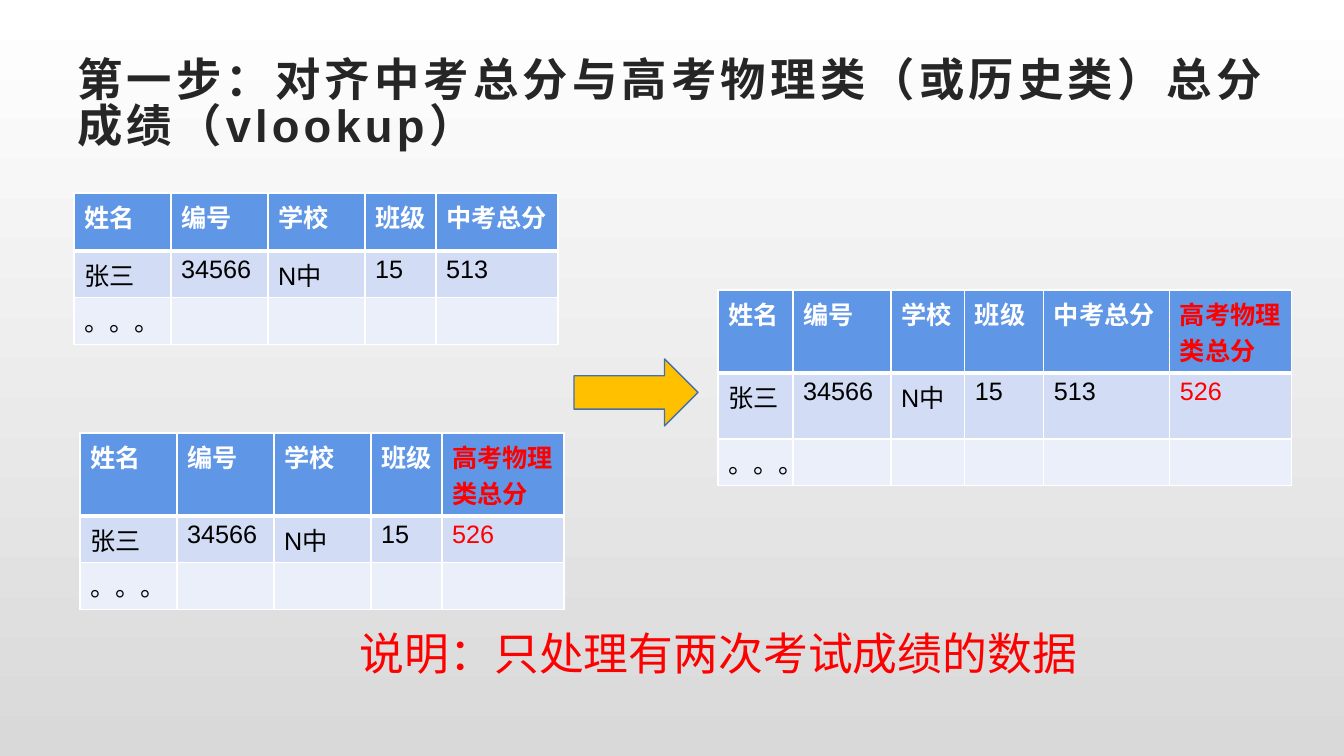
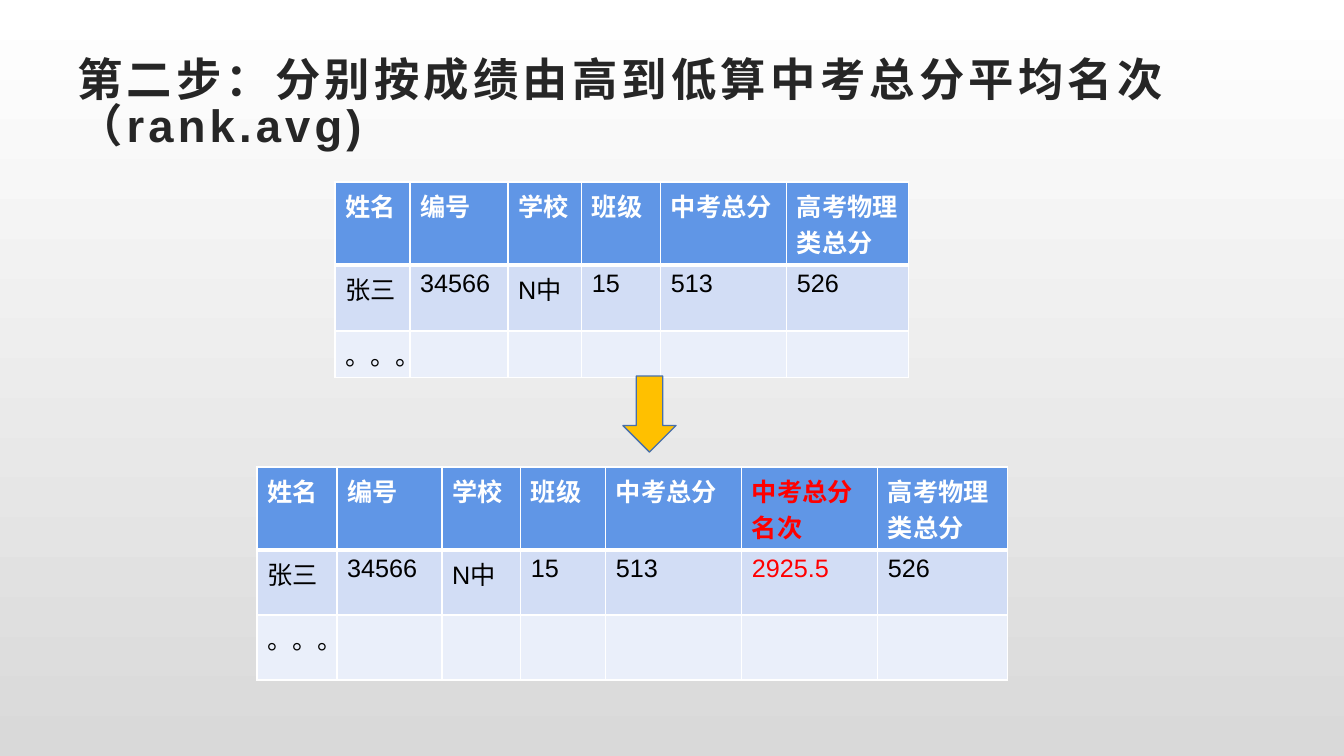
from lxml.etree import SubElement
from pptx import Presentation
from pptx.dml.color import RGBColor
from pptx.enum.shapes import MSO_SHAPE
from pptx.enum.text import MSO_ANCHOR, MSO_AUTO_SIZE, PP_ALIGN
from pptx.oxml.ns import qn
from pptx.util import Pt

# Page size and scale
PAGE_WIDTH, PAGE_HEIGHT = 1344, 756
EMU_WIDE = 12192000

# Shared style
FONT = "Arial"
WHITE = RGBColor(0xFF, 0xFF, 0xFF)
BLACK = RGBColor(0x00, 0x00, 0x00)
RED = RGBColor(0xFF, 0x00, 0x00)
TITLE_GREY = RGBColor(0x26, 0x26, 0x26)
PAGE_GREY = RGBColor(0xD9, 0xD9, 0xD9)
HEADER_BLUE = RGBColor(0x60, 0x96, 0xE6)
BAND_DARK = RGBColor(0xD2, 0xDD, 0xF5)
BAND_LIGHT = RGBColor(0xEA, 0xEF, 0xFA)
ARROW_GOLD = RGBColor(0xFF, 0xC0, 0x00)
ARROW_LINE = RGBColor(0x47, 0x6F, 0xAA)

# Sample student and table column widths
STUDENT = {"姓名": "张三", "编号": "34566", "学校": "N中", "班级": "15",
           "中考总分": "513", "中考总分名次": "2925.5", "高考物理类总分": "526"}
BASICS = ["姓名", "编号", "学校", "班级"]
ENTRANCE, RANK, FINAL = "中考总分", "中考总分名次", "高考物理类总分"
SOURCE_WIDTHS = [97, 97, 97, 71, 122]
MERGED_WIDTHS = [75, 98, 74, 79, 126, 122]
RANKED_WIDTHS = [80, 105, 79, 85, 136, 136, 130]
SOURCE_HEIGHTS = [58, 41, 41]
MERGED_HEIGHTS = [71, 66, 41]
RANKED_HEIGHTS = [71, 65, 65]


def px(length):
    return length * EMU_WIDE // PAGE_WIDTH


def write(frame, text, size=18, color=BLACK, bold=False, tracking=0, line_spacing=None):
    para = frame.paragraphs[0]
    para.alignment = PP_ALIGN.LEFT
    if line_spacing:
        para.line_spacing = line_spacing
    span = para.add_run()
    span.text = text
    span.font.name = FONT
    span.font.size = Pt(size)
    span.font.bold = bold
    span.font.color.rgb = color
    if tracking:
        span.font._element.set("spc", str(tracking * 100))


def set_borders(cell, bottom):
    properties = cell._tc.get_or_add_tcPr()
    for side, width in (("L", 1), ("R", 1), ("T", 1), ("B", bottom)):
        line = SubElement(properties, qn(f"a:ln{side}"), w=str(Pt(width)))
        fill = SubElement(line, qn("a:solidFill"))
        SubElement(fill, qn("a:srgbClr"), val=str(WHITE))


class ScoreDeck:
    def __init__(self):
        self.deck = Presentation()
        self.deck.slide_width = px(PAGE_WIDTH)
        self.deck.slide_height = px(PAGE_HEIGHT)
        self.page = None
        # Shared background
        fill = self.deck.slide_master.background.fill
        fill.gradient()
        fill.gradient_angle = 270
        for stop, color, position in zip(fill.gradient_stops, (WHITE, PAGE_GREY), (0, 1)):
            stop.color.rgb = color
            stop.position = position

    def add_page(self, title):
        self.page = self.deck.slides.add_slide(self.deck.slide_layouts[5])
        box = self.page.shapes.title
        box.left, box.top, box.width, box.height = map(px, (67, 67, 1210, 78))
        frame = box.text_frame
        frame.word_wrap = True
        frame.auto_size = MSO_AUTO_SIZE.NONE
        frame.vertical_anchor = MSO_ANCHOR.MIDDLE
        write(frame, title, size=32.4, color=TITLE_GREY, bold=True,
              tracking=3, line_spacing=0.85)

    def add_table(self, left, top, headers, widths, heights, red=()):
        rows = [headers, [STUDENT[header] for header in headers],
                ["。。。"] + [""] * (len(headers) - 1)]
        table = self.page.shapes.add_table(
            len(rows), len(headers), px(left), px(top),
            px(sum(widths)), px(sum(heights))).table
        table.horz_banding = False
        for column, width in zip(table.columns, widths):
            column.width = px(width)
        fills = (HEADER_BLUE, BAND_DARK, BAND_LIGHT)
        for index, (texts, height, fill) in enumerate(zip(rows, heights, fills)):
            is_header = index == 0
            table.rows[index].height = px(height)
            for position, (header, text) in enumerate(zip(headers, texts)):
                cell = table.cell(index, position)
                set_borders(cell, bottom=3 if is_header else 1)
                cell.fill.solid()
                cell.fill.fore_color.rgb = fill
                color = RED if header in red else WHITE if is_header else BLACK
                if text:
                    write(cell.text_frame, text, color=color, bold=is_header)

    def add_arrow(self, kind, left, top, width, height):
        arrow = self.page.shapes.add_shape(kind, *map(px, (left, top, width, height)))
        arrow.shadow.inherit = False
        arrow.fill.solid()
        arrow.fill.fore_color.rgb = ARROW_GOLD
        arrow.line.color.rgb = ARROW_LINE
        arrow.line.width = Pt(1)

    def add_note(self, text, left, top, width, height):
        box = self.page.shapes.add_textbox(*map(px, (left, top, width, height)))
        box.text_frame.word_wrap = True
        write(box.text_frame, text, size=32, color=RED)

    def save(self):
        self.deck.save("out.pptx")


def main():
    scores = ScoreDeck()
    merged = BASICS + [ENTRANCE, FINAL]

    # Step one: match the two exams
    scores.add_page("第一步：对齐中考总分与高考物理类（或历史类）总分成绩（vlookup）")
    scores.add_table(74, 193, BASICS + [ENTRANCE], SOURCE_WIDTHS, SOURCE_HEIGHTS)
    scores.add_table(80, 433, BASICS + [FINAL], SOURCE_WIDTHS, SOURCE_HEIGHTS, red=[FINAL])
    scores.add_table(718, 290, merged, MERGED_WIDTHS, MERGED_HEIGHTS, red=[FINAL])
    scores.add_arrow(MSO_SHAPE.RIGHT_ARROW, 574, 359, 124, 67)
    scores.add_note("说明：只处理有两次考试成绩的数据", 350, 621, 793, 65)

    # Step two: rank the entrance score
    scores.add_page("第二步：分别按成绩由高到低算中考总分平均名次（rank.avg)")
    scores.add_table(335, 182, merged, MERGED_WIDTHS, MERGED_HEIGHTS)
    scores.add_table(257, 467, BASICS + [ENTRANCE, RANK, FINAL],
                     RANKED_WIDTHS, RANKED_HEIGHTS, red=[RANK])
    scores.add_arrow(MSO_SHAPE.DOWN_ARROW, 623, 376, 53, 76)

    scores.save()


if __name__ == "__main__":
    main()
